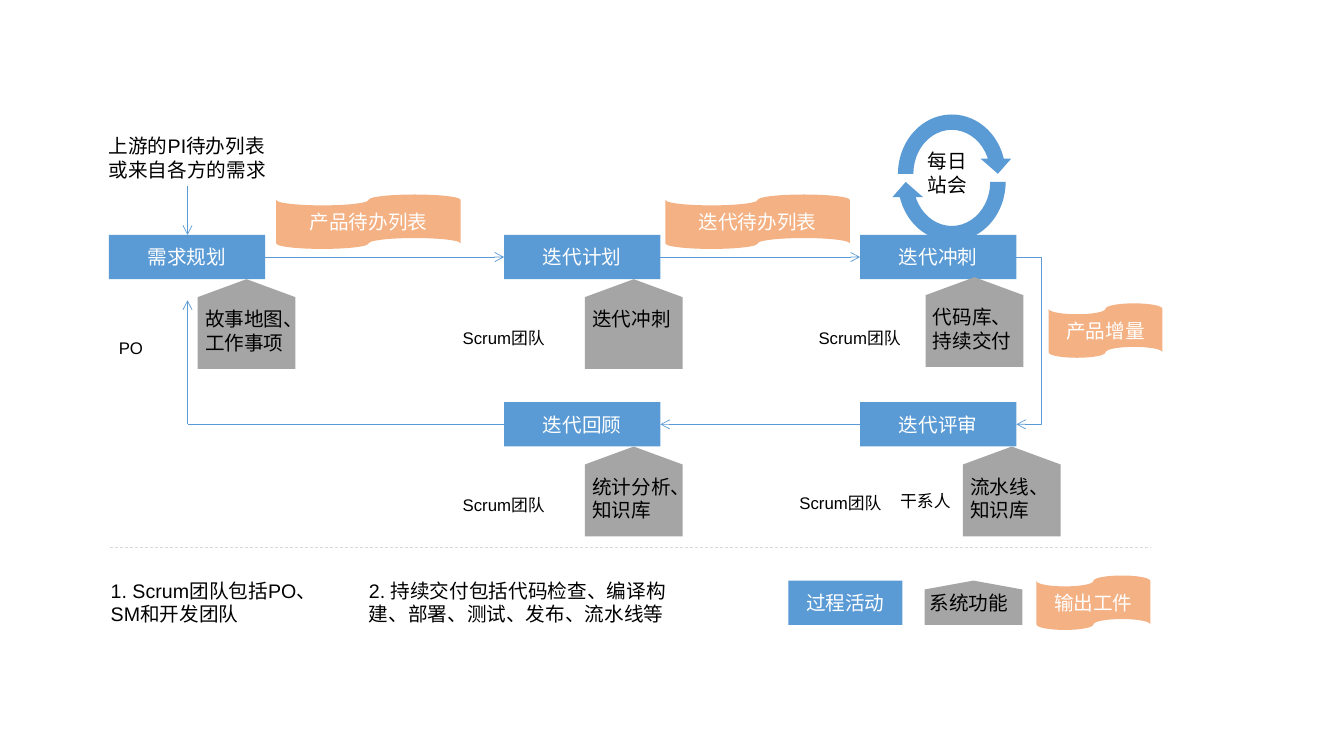
from dataclasses import dataclass

from lxml import etree
from pptx import Presentation
from pptx.dml.color import RGBColor
from pptx.enum.dml import MSO_LINE
from pptx.enum.shapes import MSO_CONNECTOR, MSO_SHAPE
from pptx.enum.text import MSO_ANCHOR, MSO_AUTO_SIZE, PP_ALIGN
from pptx.oxml.ns import qn
from pptx.util import Inches, Pt

RECTANGLE = MSO_SHAPE.RECTANGLE
TAPE = MSO_SHAPE.FLOWCHART_PUNCHED_TAPE
HOUSE = MSO_SHAPE.FLOWCHART_OFFPAGE_CONNECTOR
CYCLE = MSO_SHAPE.CIRCULAR_ARROW
STRAIGHT = MSO_CONNECTOR.STRAIGHT
ELBOW = MSO_CONNECTOR.ELBOW
DASH = MSO_LINE.DASH
MIDDLE = MSO_ANCHOR.MIDDLE
CENTER = PP_ALIGN.CENTER
LEFT = PP_ALIGN.LEFT
GROW = MSO_AUTO_SIZE.SHAPE_TO_FIT_TEXT

COLUMNS, ROWS = 133.3, 75
ACTIVITY_WIDTH, ACTIVITY_HEIGHT = 15.5, 4.4
TAPE_HEIGHT = 5.4
HOUSE_WIDTH, HOUSE_HEIGHT = 9.7, 8.9
LEGEND_WIDTH = 11.3


@dataclass(frozen=True)
class Theme:
    activity: str = "5B9BD5"
    artifact: str = "F4B183"
    function: str = "A5A5A5"
    divider: str = "D9D9D9"
    dark: str = "000000"
    light: str = "FFFFFF"
    font: str = "Arial"
    body: float = 14
    label: float = 12
    stroke: float = 0.5


class Flow:
    def __init__(self, deck, theme):
        self.theme = theme
        self.shapes = deck.slides.add_slide(deck.slide_layouts[6]).shapes
        self.column = deck.slide_width / COLUMNS
        self.row = deck.slide_height / ROWS

    def place(self, *lengths):
        units = (self.column, self.row) * 2
        return [round(length * unit) for length, unit in zip(lengths, units)]

    def add_words(self, frame, text, size, color, align):
        para = frame.paragraphs[0]
        para.alignment = align
        span = para.add_run()
        span.text = text
        span.font.color.rgb = RGBColor.from_string(color)
        for name, value in {"name": self.theme.font, "size": Pt(size)}.items():
            setattr(span.font, name, value)

    def shape(self, kind, area, color, text="", turn=0):
        shape = self.shapes.add_shape(kind, *self.place(*area))
        shape.shadow.inherit = False
        shape.fill.solid()
        shape.fill.fore_color.rgb = RGBColor.from_string(color)
        shape.line.fill.background()
        shape.rotation = turn
        if text:
            shape.text_frame.vertical_anchor = MIDDLE
            self.add_words(shape.text_frame, text, self.theme.body, self.theme.light, CENTER)

    def activity(self, left, top, text, width=ACTIVITY_WIDTH):
        area = (left, top, width, ACTIVITY_HEIGHT)
        self.shape(RECTANGLE, area, self.theme.activity, text)

    def artifact(self, left, top, text, width=LEGEND_WIDTH):
        self.shape(TAPE, (left, top, width, TAPE_HEIGHT), self.theme.artifact, text)

    def function(self, left, top, text, height=HOUSE_HEIGHT, inset=(-0.25, 2.3)):
        area = (left, top, HOUSE_WIDTH, height)
        self.shape(HOUSE, area, self.theme.function, turn=180)
        self.text(left + inset[0], top + inset[1], 11.1, text)

    def text(self, left, top, width, text, size=None):
        size = size or self.theme.body
        box = self.shapes.add_textbox(*self.place(left, top, width, size * 0.25))
        for name, value in {"word_wrap": True, "auto_size": GROW}.items():
            setattr(box.text_frame, name, value)
        self.add_words(box.text_frame, text, size, self.theme.dark, LEFT)

    def line(self, start, end, color=None, arrow=True, dash=None, bend=None):
        kind = ELBOW if bend else STRAIGHT
        line = self.shapes.add_connector(kind, *self.place(*start, *end))
        line.line.color.rgb = RGBColor.from_string(color or self.theme.activity)
        for name, value in {"width": Pt(self.theme.stroke), "dash_style": dash}.items():
            setattr(line.line, name, value)
        properties = line.element.spPr
        if arrow:
            etree.SubElement(properties.find(qn("a:ln")), qn("a:tailEnd"), type="arrow")
        if bend:
            geometry = properties.find(qn("a:prstGeom"))
            guides = geometry.find(qn("a:avLst"))
            if guides is None:
                guides = etree.SubElement(geometry, qn("a:avLst"))
            share = round(100000 * bend / (end[0] - start[0]))
            etree.SubElement(guides, qn("a:gd"), name="adj1", fmla=f"val {share}")
        etree.SubElement(properties, qn("a:effectLst"))


def main():
    theme = Theme()
    deck = Presentation()
    deck.slide_width, deck.slide_height = Inches(13.33), Inches(7.5)
    flow = Flow(deck, theme)

    plan, middle, right = 10.8, 50, 85.3
    upper, lower = 23.3, 39.9
    upper_axis, lower_axis = (top + ACTIVITY_HEIGHT / 2 for top in (upper, lower))
    feedback = 18.6

    for left, top, text in (
        (plan, upper, "需求规划"),
        (middle, upper, "迭代计划"),
        (right, upper, "迭代冲刺"),
        (right, lower, "迭代评审"),
        (middle, lower, "迭代回顾"),
    ):
        flow.activity(left, top, text)

    for left, following in ((plan, middle), (middle, right)):
        flow.line((left + ACTIVITY_WIDTH, upper_axis), (following, upper_axis))
    flow.line((100.7, upper_axis), (100.8, lower_axis), bend=2.6)
    flow.line((right, lower_axis), (middle + ACTIVITY_WIDTH, lower_axis))
    flow.line((middle, lower_axis), (feedback, lower_axis), arrow=False)
    flow.line((feedback, lower_axis), (feedback, 29.8))
    flow.line((feedback, 18.5), (feedback, upper))

    flow.artifact(27.4, 19.3, "产品待办列表", 18.3)
    flow.artifact(66, 19.3, "迭代待办列表", 18.3)
    flow.artifact(104, 30.1, "产品增量")

    for top, turn in ((10.6, 0), (11.4, 180)):
        flow.shape(CYCLE, (88.3, top, 12.2, 13.3), theme.activity, turn=turn)
    flow.text(91, 14.3, 7.2, "每日站会")
    flow.text(9.8, 12.8, 17.6, "上游的PI待办列表或来自各方的需求")

    for left, top, text in (
        (19.6, upper + ACTIVITY_HEIGHT, "故事地图、工作事项"),
        (58, upper + ACTIVITY_HEIGHT, "迭代冲刺"),
        (91.8, 27.5, "代码库、持续交付"),
        (95.5, lower + ACTIVITY_HEIGHT, "流水线、知识库"),
        (58, lower + ACTIVITY_HEIGHT, "统计分析、知识库"),
    ):
        flow.function(left, top, text)

    for left, top in ((44.9, 32), (80.2, 32), (78.3, 48.4), (44.9, 48.6)):
        flow.text(left, top, 10.7, "Scrum团队", theme.label)
    flow.text(plan, 33, 5.3, "PO", theme.label)
    flow.text(88.3, 48.2, 7.9, "干系人", theme.label)

    flow.line((10.9, 54.3), (114.1, 54.3), theme.divider, arrow=False, dash=DASH)
    flow.text(10, 56.9, 24.3, "1. Scrum团队包括PO、SM和开发团队")
    flow.text(35.6, 56.9, 32.1, "2. 持续交付包括代码检查、编译构建、部署、测试、发布、流水线等")
    flow.activity(78.2, 57.6, "过程活动", LEGEND_WIDTH)
    flow.function(91.7, 57.6, "系统功能", ACTIVITY_HEIGHT, (-0.5, 0.5))
    flow.artifact(102.8, 57.1, "输出工件")

    deck.save("out.pptx")


if __name__ == "__main__":
    main()
